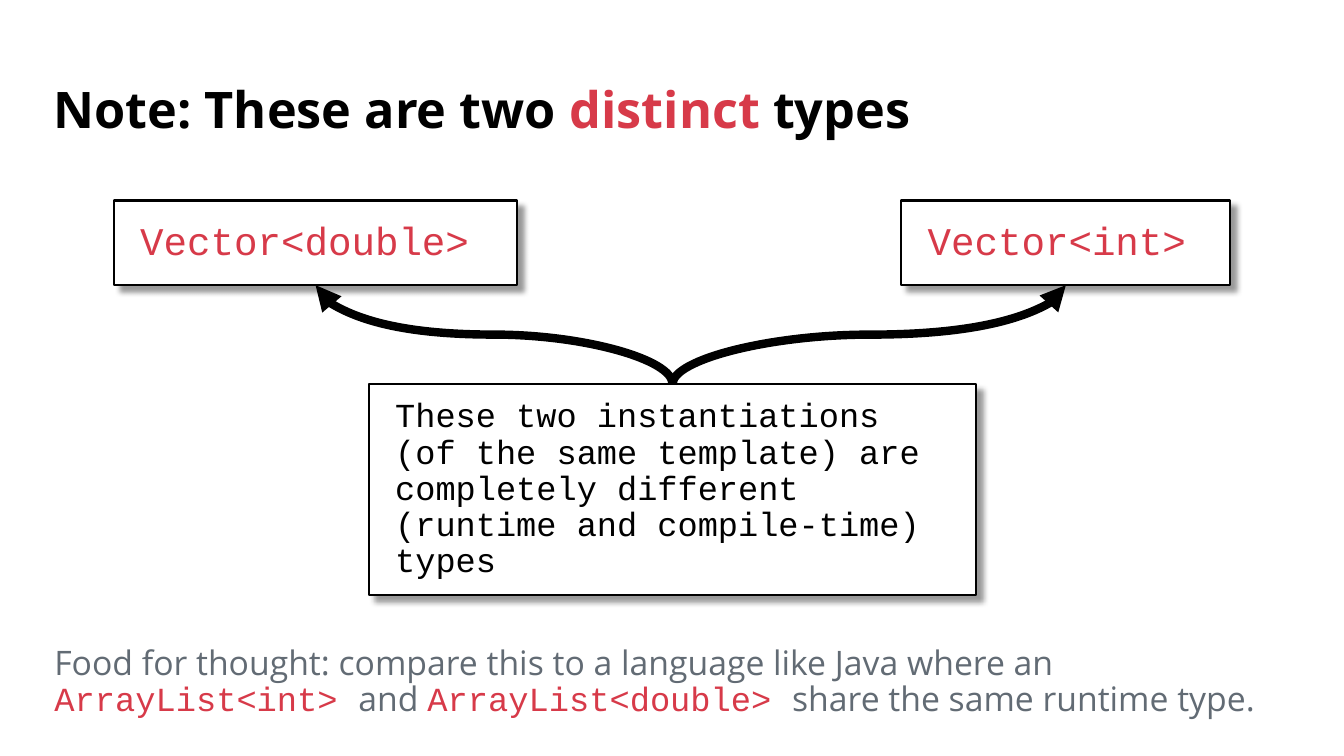
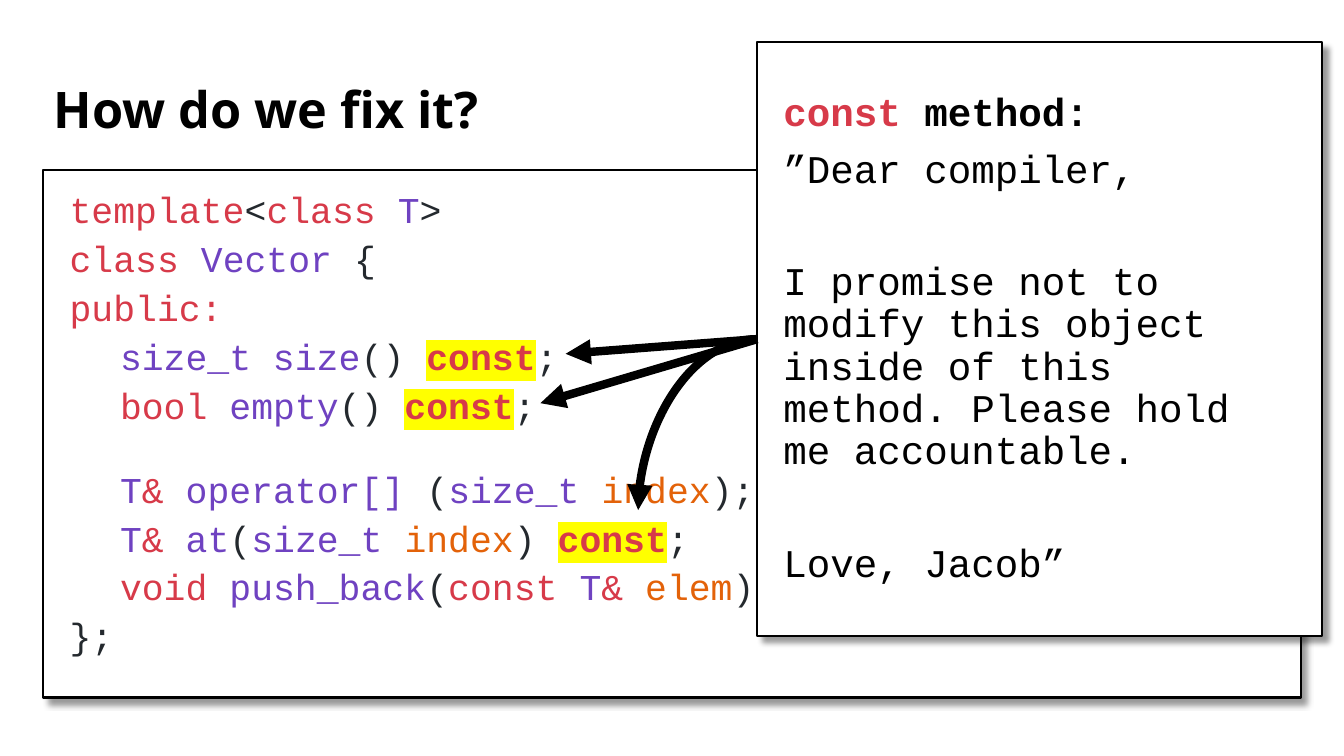
from lxml import etree
from pptx import Presentation, util as u
from pptx.dml.color import RGBColor
from pptx.enum import shapes, text
from pptx.oxml import ns

# Shared look
WIDTH, HEIGHT = u.Inches(13.33), u.Inches(7.5)
COLOURS = {
    "black": "000000", "white": "FFFFFF", "grey": "626B74", "yellow": "FFFF00",
    "keyword": "D73A49", "name": "6F42C1", "sign": "24292E", "argument": "E36209",
}
SANS, MONO = "Open Sans", "Courier New"
TITLE_AREA = (3.23, 9.2, 93.55, 11.2)
INSET, HANG, TAB = u.Inches(0.25), u.Inches(0.01), u.Inches(0.51)
GAP = 10  # points before a paragraph
FLAG = {"colour": "keyword", "bold": True, "highlight": "yellow"}


def rgb(name):
    return RGBColor.from_string(COLOURS[name])


def point(x, y):
    """Turn percentages of the slide into a position or a size."""
    return round(WIDTH * x / 100), round(HEIGHT * y / 100)


def area(left, top, width, height):
    return (*point(left, top), *point(width, height))


def child(parent, tag, **attributes):
    return etree.SubElement(parent, ns.qn(tag), attributes)


# Text
def add_run(paragraph, words, font=MONO, size=28, colour="black", bold=False,
            highlight=None):
    run = paragraph.add_run()
    run.text = words
    run.font.name, run.font.size, run.font.bold = font, u.Pt(size), bold
    run.font.color.rgb = rgb(colour)
    if highlight:
        marker = etree.Element(ns.qn("a:highlight"))
        child(marker, "a:srgbClr", val=COLOURS[highlight])
        run.font._element.find(ns.qn("a:solidFill")).addnext(marker)


def add_paragraph(frame, runs, before=GAP, spacing=0.9, left=HANG, **base):
    """Write runs of (words, colour or format), each on top of a base format."""
    first = frame.paragraphs[0]
    paragraph = frame.add_paragraph() if first.runs else first
    paragraph.alignment = text.PP_ALIGN.LEFT
    paragraph.line_spacing, paragraph.space_before = spacing, u.Pt(before)
    properties = paragraph._p.get_or_add_pPr()
    properties.set("marL", str(left))
    properties.set("indent", "0")
    child(properties, "a:buNone")
    for words, look in runs:
        own = look if isinstance(look, dict) else {"colour": look}
        add_run(paragraph, words, **{**base, **own})


def set_frame(frame, anchor, inset=None):
    frame.word_wrap = True
    frame.auto_size = text.MSO_AUTO_SIZE.NONE
    frame.vertical_anchor = anchor
    if inset is not None:
        frame.margin_left = frame.margin_right = inset
        frame.margin_top = frame.margin_bottom = inset


def place(shape, bounds):
    shape.left, shape.top, shape.width, shape.height = area(*bounds)


def add_titled_slide(deck, layout, runs):
    slide = deck.slides.add_slide(deck.slide_layouts[layout])
    title = slide.shapes.title
    place(title, TITLE_AREA)
    set_frame(title.text_frame, text.MSO_ANCHOR.MIDDLE)
    add_paragraph(title.text_frame, runs, before=0, left=0,
                  font=SANS, size=36, bold=True)
    return slide


# Cards with a drop shadow
def style_card(card, anchor=text.MSO_ANCHOR.MIDDLE):
    card.fill.solid()
    card.fill.fore_color.rgb = rgb("white")
    card.line.color.rgb = rgb("black")
    card.line.width = u.Pt(1.5)
    card.shadow.inherit = False
    effects = card._element.spPr.find(ns.qn("a:effectLst"))
    shadow = child(effects, "a:outerShdw", blurRad=str(u.Pt(4)), dist=str(u.Pt(6)),
                   dir="2700000", algn="tl", rotWithShape="0")
    shade = child(shadow, "a:srgbClr", val=COLOURS["black"])
    child(shade, "a:alpha", val="40000")
    set_frame(card.text_frame, anchor, INSET)


def add_card(slide, bounds, paragraphs, **base):
    card = slide.shapes.add_shape(shapes.MSO_SHAPE.RECTANGLE, *area(*bounds))
    style_card(card)
    for before, runs in paragraphs:
        add_paragraph(card.text_frame, runs, before=before, **base)
    return card


# Arrows
def add_arrow(slide, start, end, kind=shapes.MSO_CONNECTOR.STRAIGHT):
    arrow = slide.shapes.add_connector(kind, *start, *end)
    arrow.line.color.rgb = rgb("black")
    arrow.line.width = u.Pt(6)
    child(arrow.line._get_or_add_ln(), "a:tailEnd", type="triangle")
    child(arrow._element.spPr, "a:effectLst")
    return arrow


def add_rising_curve(slide, start, end):
    """An S-curve that leaves upwards: drawn sideways, then turned by 270°."""
    middle_x, middle_y = (start[0] + end[0]) // 2, (start[1] + end[1]) // 2
    across, down = (end[0] - start[0]) // 2, (end[1] - start[1]) // 2
    curve = add_arrow(slide, (middle_x + down, middle_y - across),
                      (middle_x - down, middle_y + across),
                      shapes.MSO_CONNECTOR.CURVE)
    curve._element.spPr.find(ns.qn("a:xfrm")).set("rot", str(270 * 60000))


def add_bend(slide, start, end):
    """A quarter curve that leaves sideways and arrives vertically."""
    bend = add_arrow(slide, start, end, shapes.MSO_CONNECTOR.CURVE)
    bend._element.spPr.find(ns.qn("a:prstGeom")).set("prst", "curvedConnector2")


# Slides
def build_types_slide(deck):
    slide = add_titled_slide(deck, 5, [
        ("Note: These are two ", "black"), ("distinct", "keyword"), (" types", "black")])

    vectors = [
        add_card(slide, (left, 26.53, width, 11.2), [(GAP, [(words, "keyword")])])
        for words, left, width in (("Vector<double>", 8.48, 30),
                                   ("Vector<int>", 67.07, 24.46))]
    claim = add_card(slide, (27.46, 50.8, 45.16, 27.87), [(GAP, [(
        "These two instantiations (of the same template) are completely different "
        "(runtime and compile-time) types", "black")])], size=24)

    claim_top = (claim.left + claim.width // 2, claim.top)
    for vector in vectors:
        vector_foot = (vector.left + vector.width // 2, vector.top + vector.height)
        add_rising_curve(slide, claim_top, vector_foot)

    thought = slide.shapes.add_textbox(*area(3.23, 84.8, 93.55, 12.13)).text_frame
    set_frame(thought, text.MSO_ANCHOR.TOP)
    code = {"font": MONO, "colour": "keyword"}
    add_paragraph(thought, [
        ("Food for thought: compare this to a language like Java where an ", "grey"),
        ("ArrayList<int> ", code), ("and ", "grey"),
        ("ArrayList<double> ", code), ("share the same runtime type.", "grey"),
    ], font=SANS, size=24.1)


def build_const_slide(deck):
    slide = add_titled_slide(deck, 1, [("How do we fix it?", "black")])

    # Class listing: (left indent, points before, runs)
    listing = [
        (HANG, GAP, [("template", "keyword"), ("<", "sign"), ("class ", "keyword"),
                     ("T", "name"), (">", "sign")]),
        (HANG, GAP, [("class ", "keyword"), ("Vector", "name"), (" {", "sign")]),
        (HANG, GAP, [("public:", "keyword")]),
        (TAB, GAP, [("size_t size", "name"), ("() ", "sign"), ("const", FLAG),
                    (";", "sign")]),
        (TAB, GAP, [("bool ", "keyword"), ("empty", "name"), ("() ", "sign"),
                    ("const", FLAG), (";", "sign")]),
        (TAB, 35, [("T", "name"), ("& ", "keyword"), ("operator[]", "name"),
                   (" (", "sign"), ("size_t ", "name"), ("index", "argument"),
                   (");", "sign")]),
        (TAB, GAP, [("T", "name"), ("& ", "keyword"), ("at", "name"), ("(", "sign"),
                    ("size_t ", "name"), ("index", "argument"), (") ", "sign"),
                    ("const", FLAG), (";", "sign")]),
        (TAB, GAP, [("void ", "keyword"), ("push_back", "name"), ("(", "sign"),
                    ("const ", "keyword"), ("T", "name"), ("& ", "keyword"),
                    ("elem", "argument"), (");", "sign")]),
        (HANG, GAP, [("};", "sign")]),
    ]
    body = slide.placeholders[1]
    place(body, (3.23, 22.53, 93.55, 69.73))
    style_card(body, text.MSO_ANCHOR.TOP)
    for left, before, runs in listing:
        add_paragraph(body.text_frame, runs, before=before, spacing=0.8, left=left,
                      size=26)

    # Letter to the compiler
    letter = add_card(slide, (56.34, 5.6, 42.01, 78.53), [
        (GAP, [("const", {"colour": "keyword", "bold": True}),
               (" method:", {"bold": True})]),
        (GAP, [("”Dear compiler,", "black")]),
        (50, [("I promise not to modify this object inside of this method. "
               "Please hold me accountable.", "black")]),
        (50, [("Love, Jacob”", "black")]),
    ])

    # Arrows to each flagged const
    letter_side = (letter.left, letter.top + letter.height // 2)
    for target in ((42.09, 46.8), (40.21, 53.33)):
        add_arrow(slide, letter_side, point(*target))
    add_bend(slide, letter_side, point(47.49, 67.47))


def main():
    deck = Presentation()
    deck.slide_width, deck.slide_height = WIDTH, HEIGHT
    build_types_slide(deck)
    build_const_slide(deck)
    deck.save("out.pptx")


if __name__ == "__main__":
    main()
